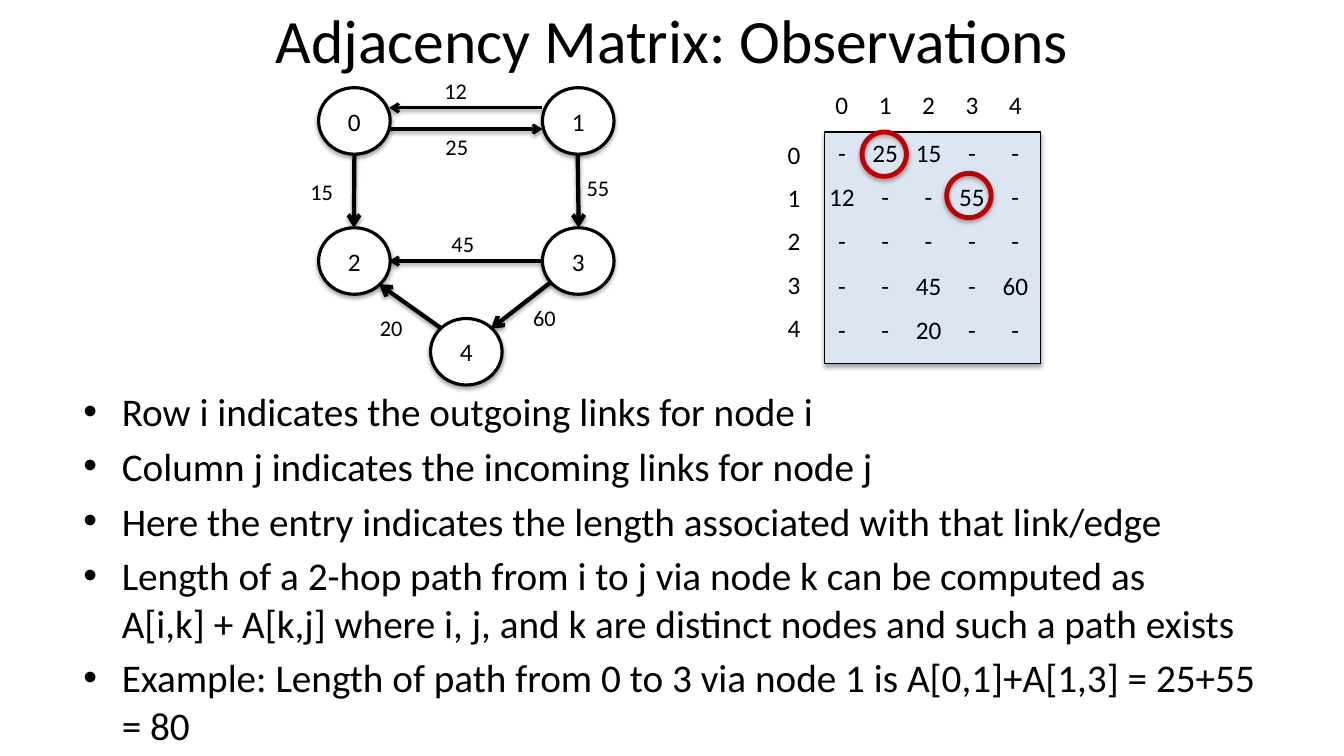
from dataclasses import dataclass

from lxml.etree import SubElement
from pptx import Presentation
from pptx.dml.color import RGBColor
from pptx.enum.shapes import MSO_CONNECTOR, MSO_SHAPE
from pptx.enum.text import MSO_ANCHOR as Anchor, PP_ALIGN as Align
from pptx.oxml.ns import qn
from pptx.util import Pt

PX = 9144  # EMU per px, at 100 px to the inch


@dataclass(frozen=True)
class Theme:
    font: str = "Calibri"
    ink: str = "000000"
    paper: str = "FFFFFF"
    matrix: str = "DCE6F2"
    mark: str = "C00000"
    title: int = 44
    body: int = 28
    cell: int = 18
    weight: int = 16


def put_text(tf, text, size, theme, align=Align.LEFT, anchor=Anchor.TOP,
             wrap=True, inset=(10, 5)):
    """Fill a text frame, one paragraph per item of text, and return the paragraphs."""
    tf.word_wrap, tf.vertical_anchor = wrap, anchor
    tf.margin_left = tf.margin_right = inset[0] * PX
    tf.margin_top = tf.margin_bottom = inset[1] * PX
    items = [text] if isinstance(text, str) else text
    for i, item in enumerate(items):
        p = tf.add_paragraph() if i else tf.paragraphs[0]
        p.text, p.alignment = item, align
        for r in p.runs:
            r.font.name, r.font.size = theme.font, Pt(size)
            r.font.color.rgb = RGBColor.from_string(theme.ink)
    return tf.paragraphs


def cast_shadow(sp, alpha, dist):
    sp_pr = sp._element.spPr
    effects = sp_pr.find(qn("a:effectLst"))
    if effects is None:
        effects = SubElement(sp_pr, qn("a:effectLst"))
    shadow = SubElement(effects, qn("a:outerShdw"), blurRad=str(Pt(3.1)),
                        dist=str(Pt(dist)), dir="5400000", rotWithShape="0")
    color = SubElement(shadow, qn("a:srgbClr"), val="000000")
    SubElement(color, qn("a:alpha"), val=str(alpha * 1000))


class SlideBuilder:
    def __init__(self, prs, theme):
        self.theme = theme
        self.s = prs.slides.add_slide(prs.slide_layouts[6])

    def text(self, x, y, w, h, text, size, **fmt):
        box = self.s.shapes.add_textbox(x * PX, y * PX, w * PX, h * PX)
        return put_text(box.text_frame, text, size, self.theme, **fmt)

    def bullets(self, x, y, w, h, items):
        for p in self.text(x, y, w, h, items, self.theme.body):
            p.space_before = Pt(5.6)
            p_pr = p._p.get_or_add_pPr()
            p_pr.set("marL", str(38 * PX))
            p_pr.set("indent", str(-38 * PX))
            SubElement(p_pr, qn("a:buFont"), typeface="Arial")
            SubElement(p_pr, qn("a:buChar"), char="•")

    def columns(self, x, y, w, h, values, stops):
        """Place values on one line, each centred on its tab stop."""
        line = "".join(f"\t{v}" for v in values)
        p, = self.text(x, y, w, h, line, self.theme.cell, inset=(0, 5))
        tabs = SubElement(p._p.get_or_add_pPr(), qn("a:tabLst"))
        for stop in stops:
            SubElement(tabs, qn("a:tab"), pos=str(stop * PX), algn="ctr")

    def shape(self, kind, x, y, w, h, fill=None, line=None, width=2.25):
        sp = self.s.shapes.add_shape(kind, x * PX, y * PX, w * PX, h * PX)
        sp.shadow.inherit = False
        if fill:
            sp.fill.solid()
            sp.fill.fore_color.rgb = RGBColor.from_string(fill)
        else:
            sp.fill.background()
        sp.line.color.rgb = RGBColor.from_string(line or self.theme.ink)
        sp.line.width = Pt(width)
        cast_shadow(sp, alpha=35, dist=1.8)
        return sp

    def node(self, x, y, name):
        sp = self.shape(MSO_SHAPE.OVAL, x, y, 71, 66, fill=self.theme.paper)
        put_text(sp.text_frame, name, self.theme.cell, self.theme,
                 align=Align.CENTER, anchor=Anchor.MIDDLE)

    def arrow(self, x1, y1, x2, y2, width):
        line = self.s.shapes.add_connector(
            MSO_CONNECTOR.STRAIGHT, x1 * PX, y1 * PX, x2 * PX, y2 * PX)
        line.line.color.rgb = RGBColor.from_string(self.theme.ink)
        line.line.width = Pt(width)
        SubElement(line.line._get_or_add_ln(), qn("a:tailEnd"), type="arrow")
        cast_shadow(line, alpha=38, dist=1.6)

    def ring(self, x, y):
        self.shape(MSO_SHAPE.OVAL, x, y, 44, 44, line=self.theme.mark, width=3.5)


BULLETS = [
    "Row i indicates the outgoing links for node i",
    "Column j indicates the incoming links for node j",
    "Here the entry indicates the length associated with that link/edge",
    "Length of a 2-hop path from i to j via node k can be computed as\v"
    "A[i,k] + A[k,j] where i, j, and k are distinct nodes and such a path exists",
    "Example: Length of path from 0 to 3 via node 1 is A[0,1]+A[1,3] = 25+55 = 80",
]
MATRIX = ["- 25 15 - -", "12 - - 55 -", "- - - - -", "- - 45 - 60", "- - 20 - -"]
NODES = [(316, 87), (538, 87), (316, 226), (538, 226), (427, 316)]
# weight, its label position, arrow start and end, line width
EDGES = [
    ("55", (572, 168), (572, 88, 574, 226), 3),
    ("15", (298, 172), (352, 86, 351, 226), 3),
    ("25", (432, 127), (386, 128, 538, 128), 2.25),
    ("45", (438, 223), (538, 259, 386, 259), 2.25),
    ("60", (519, 297), (572, 260, 487, 326), 3),
    ("12", (431, 72), (538, 107, 386, 107), 2.25),
    ("20", (367, 307), (438, 326, 376, 282), 3),
]


def draw_graph(b):
    for _, _, ends, width in EDGES:
        b.arrow(*ends, width)
    for i, (x, y) in enumerate(NODES):
        b.node(x, y, str(i))
    for weight, (x, y), _, _ in EDGES:
        b.text(x, y, 43, 37, weight, b.theme.weight, wrap=False)


def draw_matrix(b):
    left, top, width = 818, 131, 214
    stops = [17 + 43 * j for j in range(len(MATRIX))]
    b.shape(MSO_SHAPE.RECTANGLE, left, top, width, 230, fill=b.theme.matrix, width=0.75)
    b.columns(left, 84, width, 40, range(len(MATRIX)), stops)
    for i, row in enumerate(MATRIX):
        b.text(771, top + 2 + 43 * i, 33, 40, str(i), b.theme.cell,
               align=Align.CENTER, wrap=False)
        b.columns(left, top + 44 * i, width, 40, row.split(), stops)
    b.ring(855, 131)
    b.ring(939, 172)


def main():
    prs = Presentation()
    prs.slide_width, prs.slide_height = 1333 * PX, 750 * PX
    b = SlideBuilder(prs, Theme())
    b.text(217, -11, 900, 99, "Adjacency Matrix: Observations", b.theme.title,
           align=Align.CENTER, anchor=Anchor.MIDDLE)
    b.bullets(73, 379, 1200, 367, BULLETS)
    draw_matrix(b)
    draw_graph(b)
    prs.save("out.pptx")


if __name__ == "__main__":
    main()
